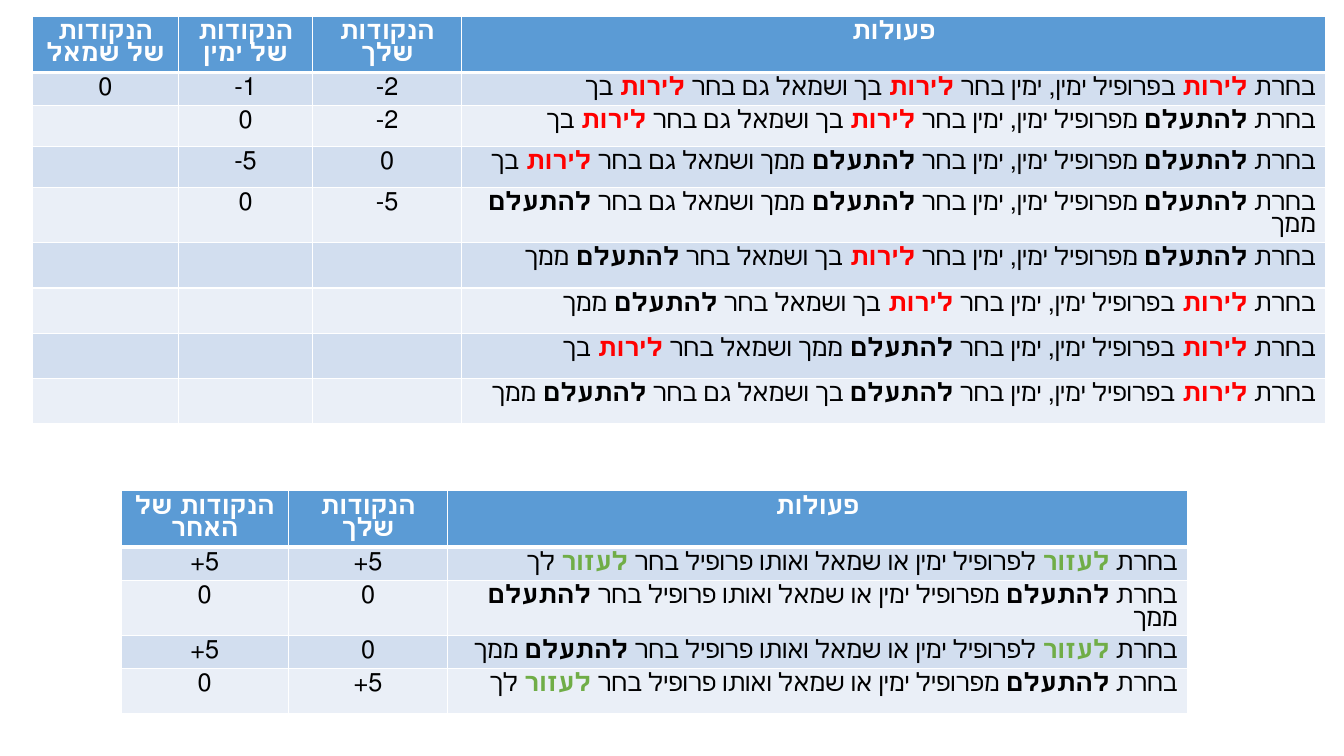
"""Build a slide with two Hebrew scoring tables."""
from dataclasses import dataclass

from lxml.etree import SubElement
from pptx import Presentation
from pptx.dml.color import RGBColor
from pptx.enum.text import PP_ALIGN
from pptx.oxml.ns import qn
from pptx.util import Inches, Pt

FONT = "Calibri"
WHITE, BLACK = "FFFFFF", "000000"
HEADER = "5B9BD5"
BANDS = ("D2DEEF", "EAEFF7")
WORD_COLORS = {"לירות": "FF0000", "לעזור": "70AD47", "להתעלם": BLACK}


@dataclass
class ScoreTable:
    """A score table; bars in the text enclose emphasised words."""
    left: float
    top: float
    widths: list[float]
    heights: list[float]
    rows: list[list[str]]


TABLES = [
    ScoreTable(0.32, 0.16, [1.45, 1.33, 1.48, 8.57], [0.56] + [0.32] * 3 + [0.45] * 5, [
        ["הנקודות של שמאל", "הנקודות של ימין", "הנקודות שלך", "פעולות"],
        ["0", "1-", "2-", "בחרת |לירות| בפרופיל ימין, ימין בחר |לירות| בך ושמאל גם בחר |לירות| בך"],
        ["", "0", "2-", "בחרת |להתעלם| מפרופיל ימין, ימין בחר |לירות| בך ושמאל גם בחר |לירות| בך"],
        ["", "5-", "0", "בחרת |להתעלם| מפרופיל ימין, ימין בחר |להתעלם |ממך ושמאל גם בחר |לירות |בך"],
        ["", "0", "5-", "בחרת |להתעלם| מפרופיל ימין, ימין בחר |להתעלם |ממך ושמאל גם בחר |להתעלם |ממך"],
        ["", "", "", "בחרת |להתעלם| מפרופיל ימין, ימין בחר |לירות |בך ושמאל בחר |להתעלם |ממך"],
        ["", "", "", "בחרת |לירות |בפרופיל ימין, ימין בחר |לירות |בך ושמאל בחר |להתעלם |ממך"],
        ["", "", "", "בחרת |לירות |בפרופיל ימין, ימין בחר |להתעלם |ממך ושמאל בחר |לירות |בך"],
        ["", "", "", "בחרת |לירות |בפרופיל ימין, ימין בחר |להתעלם| בך ושמאל גם בחר |להתעלם |ממך"],
    ]),
    ScoreTable(1.2, 4.87, [1.66, 1.58, 7.34], [0.56] + [0.32] * 3 + [0.45], [
        ["הנקודות של האחר", "הנקודות שלך", "פעולות"],
        ["5+", "5+", "בחרת |לעזור| לפרופיל ימין או שמאל ואותו פרופיל בחר |לעזור| לך"],
        ["0", "0", "בחרת |להתעלם| מפרופיל ימין או שמאל ואותו פרופיל בחר |להתעלם| ממך"],
        ["5+", "0", "בחרת |לעזור| לפרופיל ימין או שמאל ואותו פרופיל בחר |להתעלם| ממך"],
        ["0", "5+", "בחרת |להתעלם| מפרופיל ימין או שמאל ואותו פרופיל בחר |לעזור| לך"],
    ]),
]


def rgb(color: str) -> RGBColor:
    """Turn a hex string into a colour."""
    return RGBColor.from_string(color)


def set_borders(cell, bottom: float) -> None:
    """Draw white cell borders, with the given bottom width in points."""
    props = cell._tc.get_or_add_tcPr()
    for i, (side, width) in enumerate(zip("LRTB", (1, 1, 1, bottom))):
        line = SubElement(props, qn(f"a:ln{side}"), w=str(Pt(width)))
        fill = SubElement(line, qn("a:solidFill"))
        SubElement(fill, qn("a:srgbClr"), val=WHITE)
        props.insert(i, line)


def write_cell(cell, text: str, header: bool, centered: bool) -> None:
    """Write right-to-left text with emphasised words."""
    p = cell.text_frame.paragraphs[0]
    p.alignment = PP_ALIGN.CENTER if centered else PP_ALIGN.RIGHT
    p._p.get_or_add_pPr().set("rtl", "1")
    p.font.size = Pt(18)
    if not text:
        return
    p.line_spacing = 0.9
    for i, part in enumerate(text.split("|")):
        strong = i % 2 == 1
        r = p.add_run()
        r.text = part
        r.font.name = FONT
        r.font.size = Pt(18)
        r.font.bold = header or strong
        color = WORD_COLORS[part.strip()] if strong else BLACK
        r.font.color.rgb = rgb(WHITE if header else color)


def draw_table(s, spec_table: ScoreTable) -> None:
    """Add one score table to the slide."""
    t = spec_table
    tbl = s.shapes.add_table(len(t.rows), len(t.widths), Inches(t.left), Inches(t.top),
                             Inches(sum(t.widths)), Inches(sum(t.heights))).table
    for column, width in zip(tbl.columns, t.widths):
        column.width = Inches(width)
    for i, (row, height) in enumerate(zip(t.rows, t.heights)):
        tbl.rows[i].height = Inches(height)
        header = i == 0
        for j, text in enumerate(row):
            cell = tbl.cell(i, j)
            cell.fill.solid()
            cell.fill.fore_color.rgb = rgb(HEADER if header else BANDS[(i - 1) % 2])
            set_borders(cell, 3 if header else 1)
            write_cell(cell, text, header, header or j < len(row) - 1)


def main() -> None:
    """Create and save the presentation."""
    prs = Presentation()
    prs.slide_width, prs.slide_height = Inches(13.33), Inches(7.5)
    s = prs.slides.add_slide(prs.slide_layouts[6])
    for table in TABLES:
        draw_table(s, table)
    prs.save("out.pptx")


if __name__ == "__main__":
    main()
